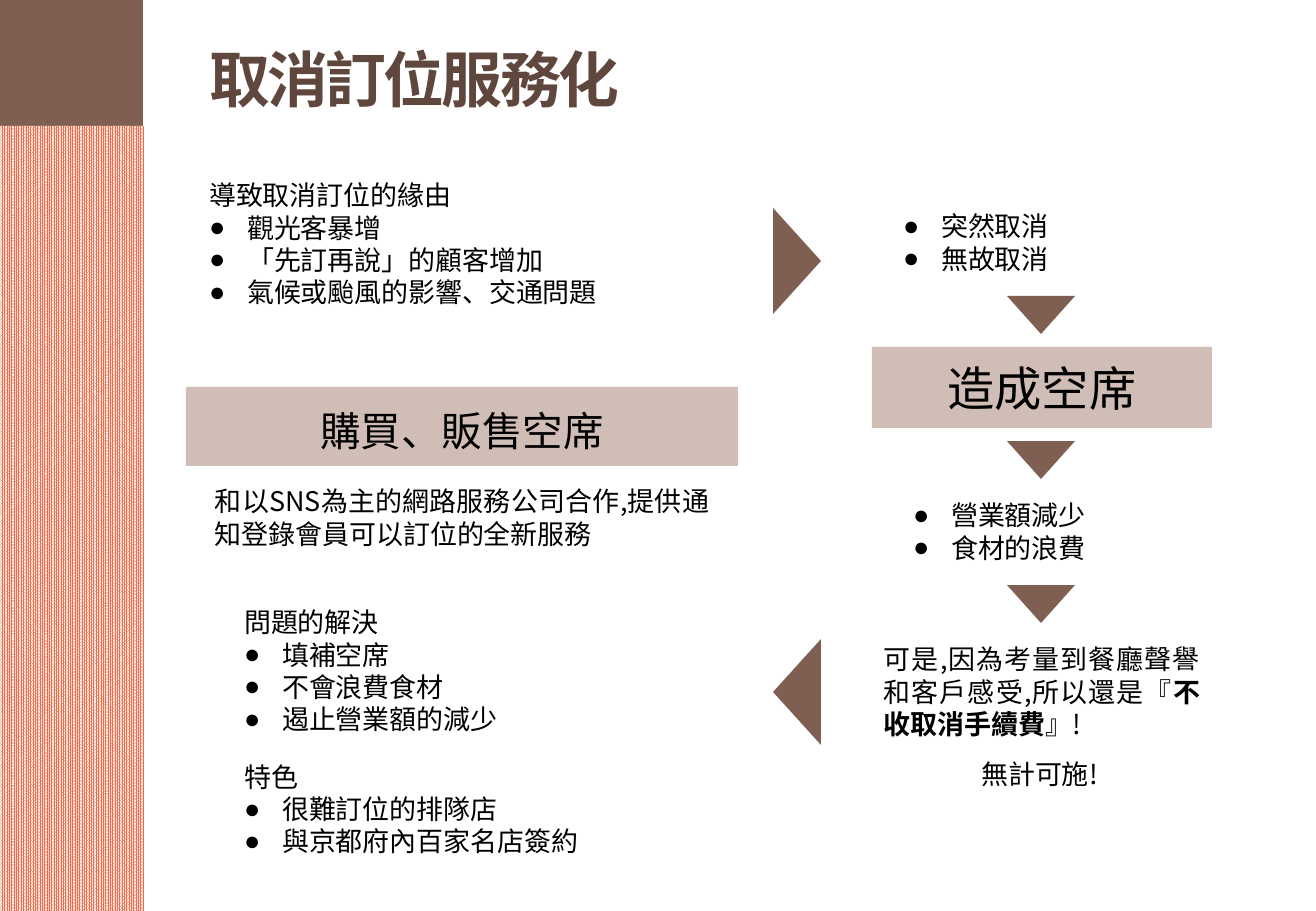
from lxml import etree
from pptx import Presentation
from pptx import util as u
from pptx.dml.color import RGBColor
from pptx.enum import dml, shapes, text
from pptx.oxml.ns import qn

PX = 914400 / 121.5
FONT = "Noto Sans CJK SC"
COLORS = {"brown": "7F5F52", "band": "D0BDB6", "title": "5F473E",
          "orange": "EE6E4A", "white": "FFFFFF", "black": "000000"}
JUSTIFY, CENTER = text.PP_ALIGN.JUSTIFY, text.PP_ALIGN.CENTER


def px(n):
    return u.Emu(round(n * PX))


def rgb(name):
    return RGBColor.from_string(COLORS[name])


class Deck:
    """House style and the current slide."""

    def __init__(self, width, height, layout):
        self.prs = Presentation()
        self.prs.slide_width, self.prs.slide_height = px(width), px(height)
        self.s = self.prs.slides.add_slide(self.prs.slide_layouts[layout])
        self.bodies = [sp for sp in self.s.placeholders
                       if sp.placeholder_format.idx in (1, 2, 3, 4)]

    def style(self, p, size=16, color="black", bold=False, align=JUSTIFY):
        p.alignment, p.space_before = align, u.Pt(0)
        f = p.font
        f.name, f.size, f.bold = FONT, u.Pt(size), bold
        f.color.rgb = rgb(color)
        props = p._p.pPr.find(qn("a:defRPr"))
        etree.SubElement(props, qn("a:ea")).set("typeface", FONT)
        if size == 16:
            p.line_spacing = u.Pt(19.15)
        return props

    def bullet(self, p, char=None):
        pPr = p._p.get_or_add_pPr()
        indent = px(38) if char else 0
        pPr.set("marL", str(indent))
        pPr.set("indent", str(-indent))
        marks = [("buFont", "typeface", "Arial"), ("buChar", "char", char)]
        for tag, key, value in marks if char else [("buNone", None, None)]:
            mark = etree.Element(qn("a:" + tag))
            if key:
                mark.set(key, value)
            pPr.find(qn("a:defRPr")).addprevious(mark)

    def place(self, sp, box, anchor=text.MSO_ANCHOR.TOP):
        sp.left, sp.top, sp.width, sp.height = map(px, box)
        tf = sp.text_frame
        tf.word_wrap, tf.auto_size = True, text.MSO_AUTO_SIZE.NONE
        tf.vertical_anchor = anchor
        return tf

    def title(self, box, words):
        p = self.place(self.s.shapes.title, box, text.MSO_ANCHOR.MIDDLE).paragraphs[0]
        p.text = words
        self.style(p, 36, "title", True, text.PP_ALIGN.LEFT).set("spc", "-150")

    def bullets(self, box, *groups):
        """Each group is a heading (or None) and its items."""
        tf = self.place(self.bodies.pop(0), box)
        lines = [(line, line is not heading, n > 0 and line is heading)
                 for n, (heading, items) in enumerate(groups)
                 for line in [heading, *items] if line]
        for i, (line, is_item, gap) in enumerate(lines):
            p = tf.add_paragraph() if i else tf.paragraphs[0]
            p.text = line
            self.style(p)
            self.bullet(p, "●" if is_item else None)
            if gap:
                p.space_before = u.Pt(15)

    def note(self, box, *runs, align=JUSTIFY):
        """Runs alternate between plain and bold."""
        p = self.place(self.s.shapes.add_textbox(0, 0, 0, 0), box).paragraphs[0]
        self.style(p, align=align)
        for i, words in enumerate(runs):
            r = p.add_run()
            r.text = words
            if i % 2:
                r.font.bold = True

    def shape(self, kind, box, color, pattern=None):
        sp = self.s.shapes.add_shape(kind, *map(px, box))
        sp.shadow.inherit = False
        sp.line.fill.background()
        if pattern:
            sp.fill.patterned()
            sp.fill.pattern = pattern
            sp.fill.back_color.rgb = rgb("white")
        else:
            sp.fill.solid()
        sp.fill.fore_color.rgb = rgb(color)
        return sp

    def rect(self, box, color, pattern=None):
        return self.shape(shapes.MSO_SHAPE.RECTANGLE, box, color, pattern)

    def band(self, box, words, size, drop=0):
        sp = self.rect(box, "band")
        tf = self.place(sp, box, text.MSO_ANCHOR.MIDDLE)
        tf.margin_top, tf.margin_bottom = px(drop), 0
        p = tf.paragraphs[0]
        p.text = words
        self.style(p, size, align=CENTER)

    def arrow(self, cx, cy, w, h, rotation):
        box = (cx - w / 2, cy - h / 2, w, h)
        sp = self.shape(shapes.MSO_SHAPE.ISOSCELES_TRIANGLE, box, "brown")
        sp.rotation = rotation


d = Deck(1316, 911, 4)

# Side strip and title
d.rect((0, 0, 143, 126), "brown")
d.rect((0, 126, 143, 785), "orange", dml.MSO_PATTERN.PERCENT_90)
d.title((197, 35, 922, 86), "取消訂位服務化")

# Causes and kinds of cancellation
d.bullets((197, 173, 445, 143),
          ("導致取消訂位的緣由", ["觀光客暴增", "「先訂再說」的顧客增加", "氣候或颱風的影響、交通問題"]))
d.bullets((891, 204, 304, 78), (None, ["突然取消", "無故取消"]))

# Empty seats and their effects
d.band((872, 347, 340, 81), "造成空席", 28)
d.bullets((901, 493, 283, 78), (None, ["營業額減少", "食材的浪費"]))
d.note((872, 637, 340, 112), "可是,因為考量到餐廳聲譽和客戶感受,所以還是『".replace(",", ","),
       "不收取消手續費", "』!")
d.note((883, 752, 313, 45), "無計可施!", align=CENTER)

# Service and its results
d.band((186, 387, 552, 79), "購買、販售空席", 24, drop=8)
d.note((203, 479, 518, 78), "和以SNS為主的網路服務公司合作,提供通知登錄會員可以訂位的全新服務")
d.bullets((232, 600, 363, 266),
          ("問題的解決", ["填補空席", "不會浪費食材", "遏止營業額的減少"]),
          ("特色", ["很難訂位的排隊店", "與京都府內百家名店簽約"]))

# Flow arrows
for y in (315, 460, 604):
    d.arrow(1041, y, 68, 38, 180)
for y, rotation in ((261, 90), (692, 270)):
    d.arrow(797, y, 106, 48, rotation)

d.prs.save("out.pptx")
